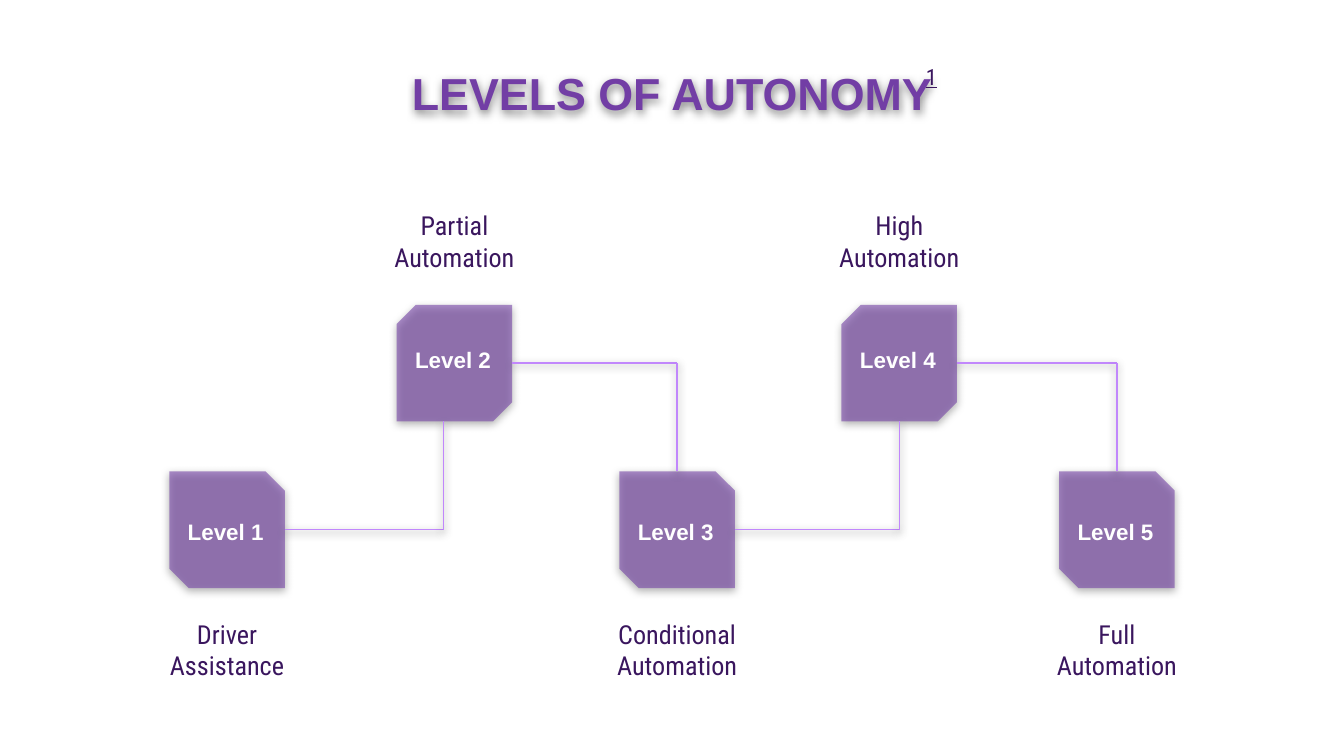
"""Build the Levels of Autonomy staircase slide."""
from dataclasses import dataclass

import lxml.etree
import pptx
import pptx.dml.color
import pptx.enum.shapes
import pptx.enum.text
import pptx.oxml.ns
import pptx.presentation
import pptx.shapes.autoshape
import pptx.shapes.base
import pptx.slide
import pptx.util

Pt = pptx.util.Pt
RGBColor = pptx.dml.color.RGBColor
qn = pptx.oxml.ns.qn
ALIGN = pptx.enum.text.PP_ALIGN

PURPLE = RGBColor(0x72, 0x3E, 0xA5)
LILAC = RGBColor(0xC1, 0x87, 0xFC)
DARK = RGBColor(0x3A, 0x16, 0x5E)
WHITE = RGBColor(0xFF, 0xFF, 0xFF)
HEADING_FONT = "Arial"
LABEL_FONT = "Roboto Condensed"

BLOCK_W, BLOCK_H = 61.9, 62.5
HIGH_Y, LOW_Y = 163.3, 252.5
SNIP = 0.167
TOP, BOTTOM, RIGHT = 0, 2, 3


@dataclass
class Level:
    name: str
    label: str
    x: float
    high: bool
    entry: float = 0

    @property
    def y(self) -> float:
        return HIGH_Y if self.high else LOW_Y

    @property
    def center(self) -> float:
        return self.x + BLOCK_W / 2


LEVELS = [
    Level("Level 1", "Driver Assistance", 90.7, False),
    Level("Level 2", "Partial Automation", 212.5, True, entry=-5.8),
    Level("Level 3", "Conditional Automation", 331.8, False),
    Level("Level 4", "High Automation", 450.8, True),
    Level("Level 5", "Full Automation", 567.4, False),
]


def add_shadow(sp: pptx.shapes.base.BaseShape) -> None:
    spPr = sp._element.spPr
    effects = lxml.etree.SubElement(spPr, qn("a:effectLst"))
    shadow = lxml.etree.SubElement(
        effects, qn("a:outerShdw"), blurRad=str(Pt(4.5)), dist=str(Pt(1.5)),
        dir="5400000", algn="bl", rotWithShape="0")
    color = lxml.etree.SubElement(shadow, qn("a:srgbClr"), val="000000")
    lxml.etree.SubElement(color, qn("a:alpha"), val="50000")


def write(sp: pptx.shapes.autoshape.Shape, text: str, font: str, size: float,
          color: RGBColor, bold: bool = False, underline: bool = False,
          align: ALIGN = ALIGN.CENTER) -> None:
    tf = sp.text_frame
    tf.word_wrap = True
    tf.auto_size = pptx.enum.text.MSO_AUTO_SIZE.NONE
    tf.vertical_anchor = pptx.enum.text.MSO_ANCHOR.TOP
    tf.margin_left = tf.margin_right = tf.margin_top = tf.margin_bottom = Pt(7.2)
    p = tf.paragraphs[0]
    p.alignment = align
    r = p.add_run()
    r.text = text
    r.font.name = font
    r.font.size = Pt(size)
    r.font.bold = bold
    r.font.underline = underline
    r.font.color.rgb = color


def add_text(s: pptx.slide.Slide, x: float, y: float, w: float, h: float,
             text: str, font: str, size: float, color: RGBColor, **style) -> None:
    sp = s.shapes.add_textbox(Pt(x), Pt(y), Pt(w), Pt(h))
    write(sp, text, font, size, color, **style)


def add_block(s: pptx.slide.Slide, level: Level) -> pptx.shapes.autoshape.Shape:
    sp = s.shapes.add_shape(
        pptx.enum.shapes.MSO_SHAPE.SNIP_2_DIAG_RECTANGLE,
        Pt(level.x), Pt(level.y), Pt(BLOCK_W), Pt(BLOCK_H))
    sp.adjustments[0] = SNIP if level.high else 0
    sp.adjustments[1] = 0 if level.high else SNIP
    sp.fill.solid()
    sp.fill.fore_color.rgb = PURPLE
    color = sp._element.spPr.find(".//" + qn("a:srgbClr"))
    lxml.etree.SubElement(color, qn("a:alpha"), val="58000")
    sp.line.fill.background()
    add_shadow(sp)
    return sp


def add_line(s: pptx.slide.Slide, x1: float, y1: float, x2: float, y2: float):
    line = s.shapes.add_connector(
        pptx.enum.shapes.MSO_CONNECTOR.STRAIGHT, Pt(x1), Pt(y1), Pt(x2), Pt(y2))
    line.line.color.rgb = LILAC
    line.line.width = Pt(0.75)
    add_shadow(line)
    return line


def link(s: pptx.slide.Slide, a: Level, b: Level,
         block_a: pptx.shapes.autoshape.Shape,
         block_b: pptx.shapes.autoshape.Shape) -> None:
    turn_x = b.center + b.entry
    turn_y = a.y + BLOCK_H / 2
    end_y = b.y + BLOCK_H if b.high else b.y
    across = add_line(s, a.x + BLOCK_W, turn_y, turn_x, turn_y)
    across.begin_connect(block_a, RIGHT)
    rise = add_line(s, turn_x, turn_y, turn_x, end_y)
    if not b.entry:
        rise.end_connect(block_b, BOTTOM if b.high else TOP)


def add_captions(s: pptx.slide.Slide, level: Level) -> None:
    name_y = level.y + (15.2 if level.high else 18)
    add_text(s, level.x - 0.7, name_y, BLOCK_W, 31, level.name,
             HEADING_FONT, 12, WHITE, bold=True)
    label_y, label_h = (105.1, 31) if level.high else (324, 47.5)
    add_text(s, level.center - 48.6, label_y, 97.2, label_h, level.label,
             LABEL_FONT, 14, DARK)


def build() -> pptx.presentation.Presentation:
    prs = pptx.Presentation()
    prs.slide_width, prs.slide_height = Pt(720), Pt(405)
    s = prs.slides.add_slide(prs.slide_layouts[5])
    title = s.shapes.title
    title.left, title.top, title.width, title.height = Pt(154.8), Pt(28.1), Pt(410.4), Pt(74.2)
    write(title, "LEVELS OF AUTONOMY", HEADING_FONT, 24, PURPLE, bold=True)
    add_shadow(title)

    blocks = [add_block(s, level) for level in LEVELS]
    for a, b, block_a, block_b in zip(LEVELS, LEVELS[1:], blocks, blocks[1:]):
        link(s, a, b, block_a, block_b)
    for level in LEVELS:
        add_captions(s, level)
    add_text(s, 488.9, 26.6, 26.6, 56.9, "1", LABEL_FONT, 12, DARK,
             underline=True, align=ALIGN.LEFT)
    return prs


if __name__ == "__main__":
    build().save("out.pptx")
